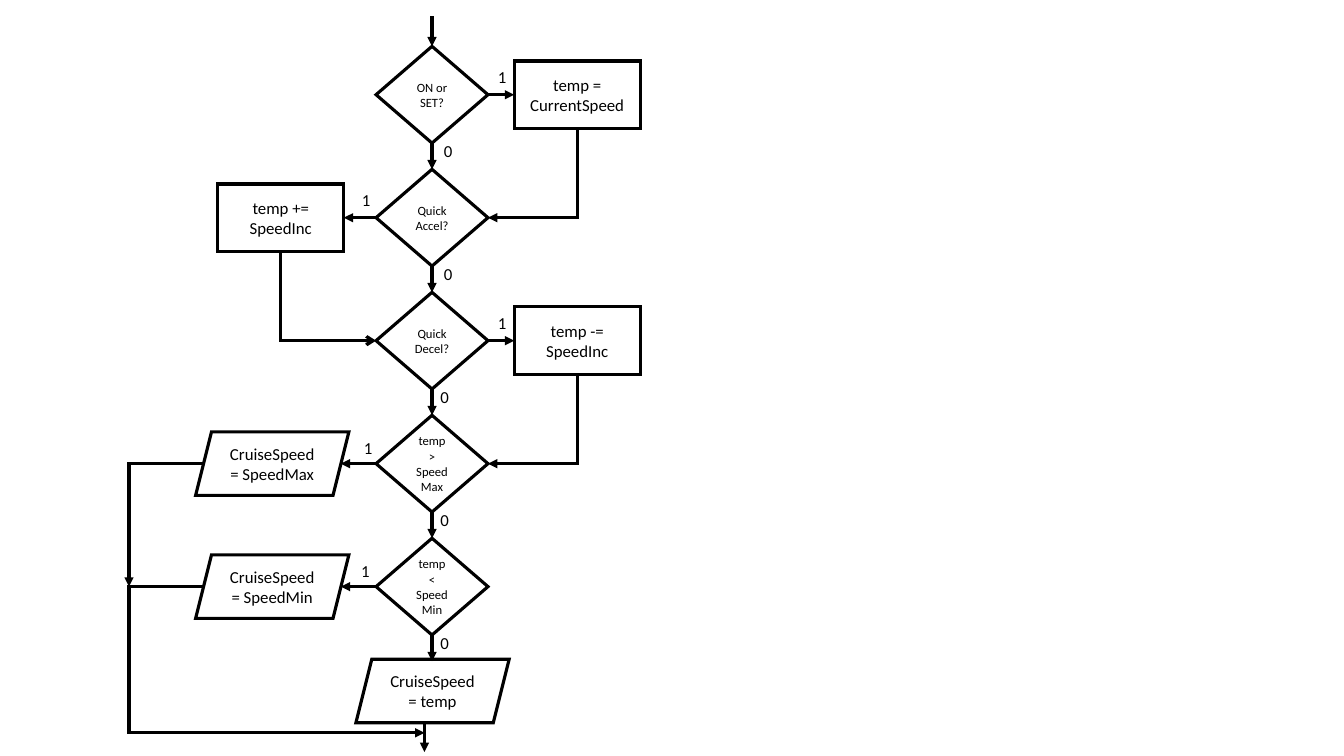
import pptx
import pptx.util
import pptx.dml.color
import pptx.enum.shapes
import pptx.enum.text
import pptx.oxml
import pptx.oxml.ns

Inches = pptx.util.Inches
MSO = pptx.enum.shapes.MSO_SHAPE
LINK = pptx.enum.shapes.MSO_CONNECTOR
TOP, LEFT, BOTTOM, RIGHT = range(4)
COLORS = {"ink": "000000"}
FONT = "Calibri"
DIAMOND_W, DIAMOND_H, PITCH = 1.11, 0.96, 1.22
RECT_W, RECT_H = 1.25, 0.67
SLANT_W, SLANT_H, SLANT_EDGE = 1.52, 0.63, 0.08
DECISIONS = ["ON or SET?", "QuickAccel?", "QuickDecel?",
             "temp > SpeedMax", "temp < SpeedMin"]


def rgb(name):
    return pptx.dml.color.RGBColor.from_string(COLORS[name])


def add_xml(parent, tag, **attrs):
    el = pptx.oxml.parse_xml(f"<a:{tag} {pptx.oxml.ns.nsdecls('a')}/>")
    for key, value in attrs.items():
        el.set(key, value)
    parent.append(el)


def write(tf, text, size=12, wrap=True, anchor="MIDDLE"):
    tf.word_wrap = wrap
    tf.vertical_anchor = getattr(pptx.enum.text.MSO_ANCHOR, anchor)
    p = tf.paragraphs[0]
    p.alignment = pptx.enum.text.PP_ALIGN.CENTER
    r = p.add_run()
    r.text = text
    r.font.size = pptx.util.Pt(size)
    r.font.name = FONT
    r.font.color.rgb = rgb("ink")


def stroke(line):
    line.color.rgb = rgb("ink")
    line.width = pptx.util.Pt(2.25)
    ln = line._get_or_add_ln()
    add_xml(ln, "miter", lim="800000")
    return ln


def add_node(s, kind, text, x, y, w, h, size=12):
    sp = s.shapes.add_shape(kind, Inches(x), Inches(y), Inches(w), Inches(h))
    sp.shadow.inherit = False
    sp.fill.background()
    stroke(sp.line)
    write(sp.text_frame, text, size=size)
    return sp


def add_label(s, text, x, y, wide=False):
    tb = s.shapes.add_textbox(Inches(x), Inches(y), Inches(0.29 if wide else 0.22), Inches(0.3))
    write(tb.text_frame, text, wrap=not wide, anchor="TOP")


def add_arrow(s, start, end, kind=LINK.STRAIGHT, head="triangle"):
    cn = s.shapes.add_connector(kind, *map(Inches, start + end))
    ln = stroke(cn.line)
    add_xml(ln, "tailEnd", type=head)
    add_xml(cn._element.spPr, "effectLst")
    return cn


def add_corner(s, start, end, down_first=False, head="triangle"):
    (x1, y1), (x2, y2) = start, end
    if not down_first:
        cn = add_arrow(s, start, end, LINK.ELBOW, head)
    else:
        cx, cy = (x1 + x2) / 2, (y1 + y2) / 2
        half_w, half_h = abs(y2 - y1) / 2, abs(x2 - x1) / 2
        turn = 1 if x2 > x1 else -1
        cn = add_arrow(s, (cx + turn * half_w, cy - half_h),
                       (cx - turn * half_w, cy + half_h), LINK.ELBOW, head)
        xfrm = cn._element.spPr.find(pptx.oxml.ns.qn("a:xfrm"))
        xfrm.set("rot", str((270 if x2 > x1 else 90) * 60000))
        xfrm.set("flipH", "1" if x2 > x1 else "0")
    cn._element.spPr.find(pptx.oxml.ns.qn("a:prstGeom")).set("prst", "bentConnector2")


def add_decisions(s, x, y):
    mid = x + DIAMOND_W / 2
    diamonds = [add_node(s, MSO.DIAMOND, text, x, y + i * PITCH, DIAMOND_W, DIAMOND_H, size=9)
                for i, text in enumerate(DECISIONS)]
    add_arrow(s, (mid, y - 0.3), (mid, y)).end_connect(diamonds[0], TOP)
    for i, diamond in enumerate(diamonds):
        bottom = y + i * PITCH + DIAMOND_H
        cn = add_arrow(s, (mid, bottom), (mid, y + (i + 1) * PITCH))
        cn.begin_connect(diamond, BOTTOM)
        if i + 1 < len(diamonds):
            cn.end_connect(diamonds[i + 1], TOP)
        wide = i > 1
        add_label(s, "0", mid - 0.02 if wide else mid + 0.02, bottom - 0.07, wide)
    return diamonds


def add_adjustment(s, diamond, text, x, y, on_right, head="triangle"):
    cy = y + DIAMOND_H / 2
    edge = x + DIAMOND_W if on_right else x
    left = x + DIAMOND_W + 0.26 if on_right else x - 0.32 - RECT_W
    near = left if on_right else left + RECT_W
    rect = add_node(s, MSO.RECTANGLE, text, left, cy - RECT_H / 2, RECT_W, RECT_H)
    cn = add_arrow(s, (edge, cy), (near, cy))
    cn.begin_connect(diamond, RIGHT if on_right else LEFT)
    cn.end_connect(rect, LEFT if on_right else RIGHT)
    add_label(s, "1", edge if on_right else edge - 0.24, cy - 0.33)
    add_corner(s, (left + RECT_W / 2, cy + RECT_H / 2), (edge, cy + PITCH),
               down_first=True, head=head)


def add_limit(s, diamond, text, x, y, wide=False):
    cy = y + DIAMOND_H / 2
    left = x - 0.27 - SLANT_W
    add_node(s, MSO.PARALLELOGRAM, text, left, cy - SLANT_H / 2, SLANT_W, SLANT_H)
    cn = add_arrow(s, (x, cy), (left + SLANT_W - SLANT_EDGE, cy))
    cn.begin_connect(diamond, LEFT)
    add_label(s, "1", x - 0.25 if wide else x - 0.22, cy - 0.31, wide)
    return left + SLANT_EDGE, cy


def add_exit(s, x, y, max_side, min_side):
    add_node(s, MSO.PARALLELOGRAM, "CruiseSpeed = temp", x, y, SLANT_W, SLANT_H)
    out_x, bottom = x + 0.68, y + SLANT_H
    add_arrow(s, (out_x, bottom), (out_x, bottom + 0.29))
    rail = max_side[0] - 0.74
    add_corner(s, max_side, (rail, min_side[1]))
    cn = add_arrow(s, min_side, (out_x, bottom + 0.1), LINK.ELBOW)
    geom = cn._element.spPr.find(pptx.oxml.ns.qn("a:prstGeom"))
    ratio = (rail - min_side[0]) / (out_x - min_side[0])
    add_xml(geom.get_or_add_avLst(), "gd", name="adj1", fmla=f"val {round(ratio * 100000)}")


def add_flowchart(s, x, y):
    diamonds = add_decisions(s, x, y)
    rows = [y + i * PITCH for i in range(len(diamonds))]
    add_adjustment(s, diamonds[0], "temp = CurrentSpeed", x, rows[0], True)
    add_adjustment(s, diamonds[1], "temp += SpeedInc", x, rows[1], False, head="arrow")
    add_adjustment(s, diamonds[2], "temp -= SpeedInc", x, rows[2], True)
    max_side = add_limit(s, diamonds[3], "CruiseSpeed = SpeedMax", x, rows[3])
    min_side = add_limit(s, diamonds[4], "CruiseSpeed = SpeedMin", x, rows[4], wide=True)
    add_exit(s, x - 0.2, rows[4] + PITCH - 0.02, max_side, min_side)


def main():
    prs = pptx.Presentation()
    prs.slide_width, prs.slide_height = Inches(13.33), Inches(7.5)
    s = prs.slides.add_slide(prs.slide_layouts[6])
    add_flowchart(s, 3.73, 0.46)
    prs.save("out.pptx")


if __name__ == "__main__":
    main()
